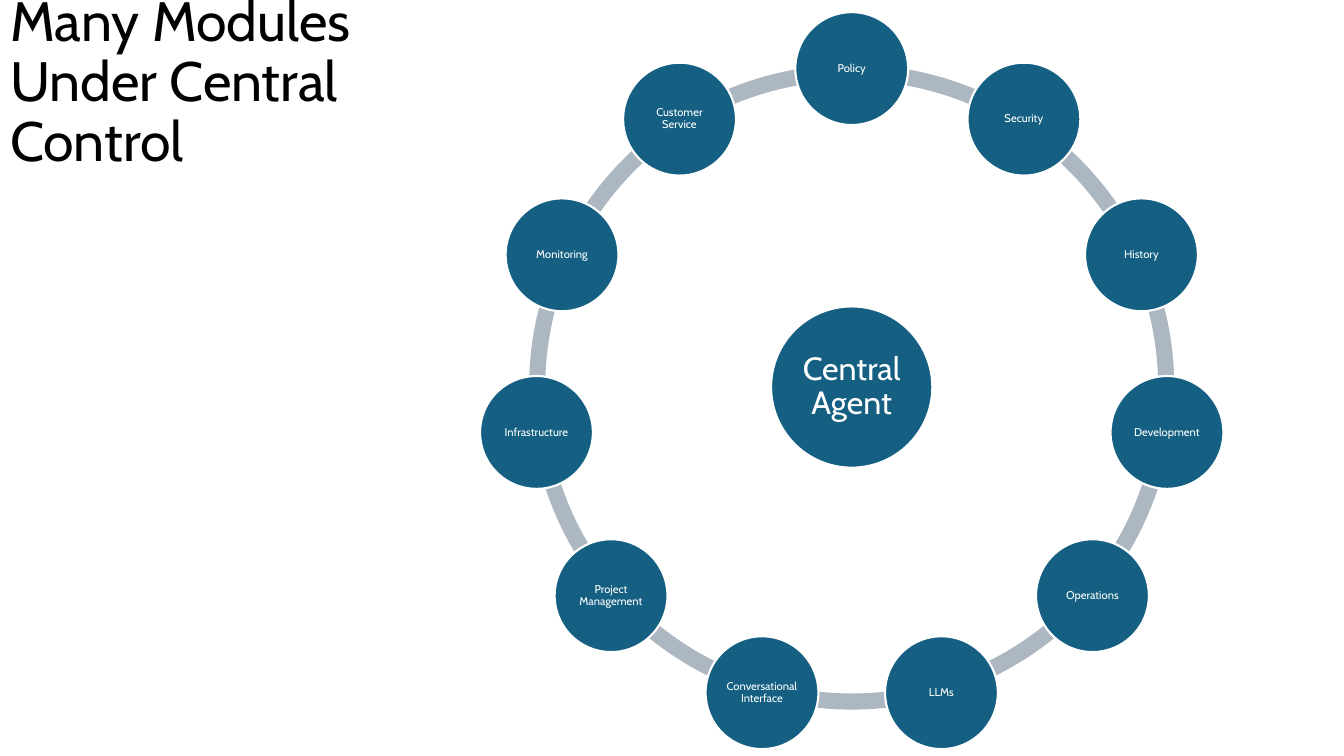
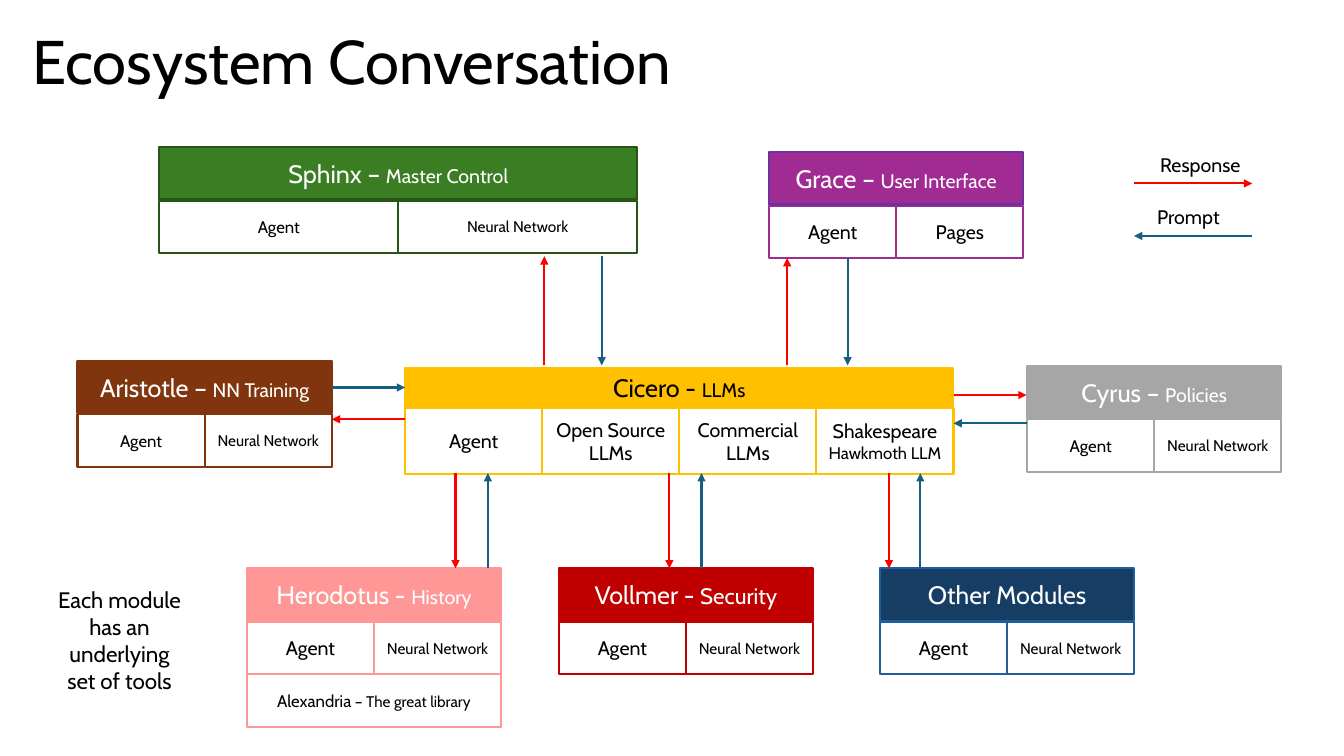
import math
from dataclasses import dataclass

import lxml.etree
import pptx
import pptx.dml.color
import pptx.enum.shapes
import pptx.enum.text
import pptx.oxml.ns
import pptx.util

Pt = pptx.util.Pt
ALIGN = pptx.enum.text.PP_ALIGN
ANCHOR = pptx.enum.text.MSO_ANCHOR
SHAPE = pptx.enum.shapes.MSO_SHAPE
qn = pptx.oxml.ns.qn


@dataclass(frozen=True)
class Theme:
    font: str = "Cabin"
    ink: str = "000000"
    paper: str = "FFFFFF"
    circle: str = "156082"
    ring: str = "ACB7C1"
    response: str = "FF0000"
    prompt: str = "156082"
    stroke: float = 1.5
    hub_size: float = 23
    node_size: float = 8
    name_size: float = 18
    note_size: float = 16
    cell_size: float = 14
    small_size: float = 12
    tiny_size: float = 11


THEME = Theme()
AGENT = [("Agent", THEME.cell_size)]
SMALL_AGENT = [("Agent", THEME.small_size)]
NETWORK = [("Neural Network", THEME.tiny_size)]


@dataclass
class Module:
    """A coloured head over rows of cells; each text is a list of (words, size)."""
    box: tuple  # left, top, width
    title: list
    rows: list
    fill: str
    line: str
    head_line: str = ""
    title_color: str = THEME.paper
    head_height: float = 37.4
    cell_height: float = 37.4


MODULES = [
    Module((549.4, 108.7, 181.6), [("Grace – ", THEME.name_size), ("User Interface", THEME.cell_size)],
           [[AGENT, [("Pages", THEME.cell_size)]]], "A02B93", "A02B93", head_line="7030A0"),
    Module((113.8, 105.1, 341.4), [("Sphinx – ", THEME.name_size), ("Master Control", THEME.cell_size)],
           [[SMALL_AGENT, NETWORK]], "3B7D23", "275417"),
    Module((55.4, 257.8, 181.6), [("Aristotle – ", THEME.name_size), ("NN Training", THEME.cell_size)],
           [[SMALL_AGENT, NETWORK]], "80350E", "80350E"),
    Module((733.7, 261.4, 181.6), [("Cyrus – ", THEME.name_size), ("Policies", THEME.cell_size)],
           [[SMALL_AGENT, NETWORK]], "A6A6A6", "A6A6A6"),
    Module((628.6, 406, 181.6), [("Other Modules", THEME.name_size)],
           [[AGENT, NETWORK]], "163E64", "215F9A"),
    Module((176.4, 406, 181.6), [("Herodotus - ", THEME.name_size), ("History", THEME.cell_size)],
           [[AGENT, NETWORK],
            [[("Alexandria", THEME.small_size), (" – The great library", THEME.tiny_size)]]],
           "FF9797", "FF9797"),
    Module((399.2, 406, 181.6), [("Vollmer - ", THEME.name_size), ("Security", THEME.note_size)],
           [[AGENT, NETWORK]], "C00000", "C00000"),
    Module((289.4, 262.8, 391.7), [("Cicero - ", THEME.name_size), ("LLMs", THEME.cell_size)],
           [[AGENT, [("Open Source LLMs", THEME.cell_size)], [("Commercial LLMs", THEME.cell_size)],
             [("Shakespeare", THEME.cell_size), (" Hawkmoth LLM", THEME.small_size)]]],
           "FFC000", "FFC000", title_color=THEME.ink, head_height=28, cell_height=46.8),
]

# Upright?, place of response, place of prompt, start and end of the response
EXCHANGES = [
    (True, 388.8, 429.8, 261, 183),
    (True, 562.3, 605.5, 261, 184.3),
    (False, 299.5, 276.8, 289.4, 237),
    (False, 282.2, 302.4, 681.1, 733.3),
    (True, 325.4, 348.5, 338, 406),
    (True, 478.1, 501.1, 338, 406),
    (True, 635, 657.4, 338, 406),
    (False, 131, 168.5, 810, 894.5),
]

RING_LABELS = [
    "Policy", "Security", "History", "Development", "Operations", "LLMs",
    "Conversational Interface", "Project Management", "Infrastructure",
    "Monitoring", "Customer Service",
]


def rgb(color):
    return pptx.dml.color.RGBColor.from_string(color)


def lengths(*values):
    return [Pt(value) for value in values]


def write(para, runs, color, align):
    para.alignment = align
    for words, size in runs:
        span = para.add_run()
        span.text = words
        span.font.name = THEME.font
        span.font.size = Pt(size)
        span.font.color.rgb = rgb(color)


def add_figure(page, kind, box, fill, line=None):
    """Add a flat preset shape; without a line colour it has no outline."""
    figure = page.shapes.add_shape(kind, *lengths(*box))
    figure.shadow.inherit = False
    figure.fill.solid()
    figure.fill.fore_color.rgb = rgb(fill)
    if line:
        figure.line.color.rgb = rgb(line)
        figure.line.width = Pt(THEME.stroke)
    else:
        figure.line.fill.background()
    return figure


def add_title_page(deck, title, box, size):
    page = deck.slides.add_slide(deck.slide_layouts[5])
    holder = page.shapes.title
    holder.left, holder.top, holder.width, holder.height = lengths(*box)
    frame = holder.text_frame
    frame.word_wrap = True
    frame.auto_size = pptx.enum.text.MSO_AUTO_SIZE.NONE
    frame.vertical_anchor = ANCHOR.MIDDLE
    write(frame.paragraphs[0], [(title, size)], THEME.ink, ALIGN.LEFT)
    frame.paragraphs[0].line_spacing = 0.9
    return page


def add_circle(page, center, diameter, label, size, inset):
    left, top = (value - diameter / 2 for value in center)
    circle = add_figure(page, SHAPE.OVAL, (left, top, diameter, diameter), THEME.circle, THEME.paper)
    frame = circle.text_frame
    frame.word_wrap = True
    frame.vertical_anchor = ANCHOR.MIDDLE
    frame.margin_left = frame.margin_right = frame.margin_top = frame.margin_bottom = Pt(inset)
    para = frame.paragraphs[0]
    write(para, [(label, size)], THEME.paper, ALIGN.CENTER)
    para.line_spacing = 0.9
    para.space_after = Pt(size * 0.35)


def add_ring(page, box, hub, labels):
    """Set labelled circles at equal angles, clockwise from the top, round a hub."""
    left, top, size = box
    center = (left + size / 2, top + size / 2)
    radius = size / 2 - 2.9
    step = 360 / len(labels)
    for index in range(len(labels)):
        arc = add_figure(page, SHAPE.BLOCK_ARC, (left, top, size, size), THEME.ring)
        start = (270 + index * step) % 360
        # Angles are stored in 1/60000 degree and scaled here by 1/100000
        arc.adjustments[0] = start * 0.6
        arc.adjustments[1] = (start + step) % 360 * 0.6
        arc.adjustments[2] = 0.025
    add_circle(page, center, 115.2, hub, THEME.hub_size, 2)
    for index, label in enumerate(labels):
        angle = math.radians(index * step - 90)
        place = (center[0] + radius * math.cos(angle), center[1] + radius * math.sin(angle))
        add_circle(page, place, 80.6, label, THEME.node_size, 0.7)


def add_cell(page, box, runs, fill, line, color):
    cell = add_figure(page, SHAPE.RECTANGLE, box, fill, line)
    cell.text_frame.word_wrap = True
    cell.text_frame.vertical_anchor = ANCHOR.MIDDLE
    write(cell.text_frame.paragraphs[0], runs, color, ALIGN.CENTER)


def add_module(page, module):
    left, top, width = module.box
    row_top = top + module.head_height + 0.8
    for row in module.rows:
        cell_width = width / len(row)
        for index, runs in enumerate(row):
            box = (left + index * cell_width, row_top, cell_width, module.cell_height)
            add_cell(page, box, runs, THEME.paper, module.line, THEME.ink)
        row_top += module.cell_height
    add_cell(page, (left, top, width, module.head_height), module.title,
             module.fill, module.head_line or module.line, module.title_color)


def add_arrow(page, start, end, color):
    arrow = page.shapes.add_connector(
        pptx.enum.shapes.MSO_CONNECTOR.STRAIGHT, *lengths(*start, *end))
    arrow.line.color.rgb = rgb(color)
    arrow.line.width = Pt(THEME.stroke)
    properties = arrow.element.spPr
    lxml.etree.SubElement(properties.find(qn("a:ln")), qn("a:tailEnd"), type="triangle")
    lxml.etree.SubElement(properties, qn("a:effectLst"))


def add_exchange(page, upright, response_at, prompt_at, start, end):
    """Draw a response arrow and a parallel prompt arrow running back."""
    for place, first, last, color in ((response_at, start, end, THEME.response),
                                      (prompt_at, end, start, THEME.prompt)):
        points = [(place, first), (place, last)] if upright else [(first, place), (last, place)]
        add_arrow(page, *points, color)


def add_note(page, box, words, size, align=ALIGN.LEFT, wrap=True):
    note = page.shapes.add_textbox(*lengths(*box))
    note.text_frame.word_wrap = wrap
    note.text_frame.auto_size = pptx.enum.text.MSO_AUTO_SIZE.SHAPE_TO_FIT_TEXT
    write(note.text_frame.paragraphs[0], [(words, size)], THEME.ink, align)


def build_ring_page(deck):
    page = add_title_page(deck, "Many Modules Under Central Control", (0, 0, 361.4, 119.5), 39.6)
    add_ring(page, (378, 46.1, 460.8), "Central Agent", RING_LABELS)


def build_conversation_page(deck):
    page = add_title_page(deck, "Ecosystem Conversation", (15.8, -5.8, 828, 104.4), 44)
    for module in MODULES:
        add_module(page, module)
    for exchange in EXCHANGES:
        add_exchange(page, *exchange)
    add_note(page, (821.5, 105.8, 75.6, 24.5), "Response", THEME.cell_size, wrap=False)
    add_note(page, (819.4, 142.6, 59.8, 24.5), "Prompt", THEME.cell_size, wrap=False)
    add_note(page, (31.7, 415.4, 107.3, 85), "Each module has an underlying set of tools",
             THEME.note_size, ALIGN.CENTER)


def main():
    deck = pptx.Presentation()
    deck.slide_width, deck.slide_height = lengths(960, 540)
    build_ring_page(deck)
    build_conversation_page(deck)
    deck.save("out.pptx")


if __name__ == "__main__":
    main()
